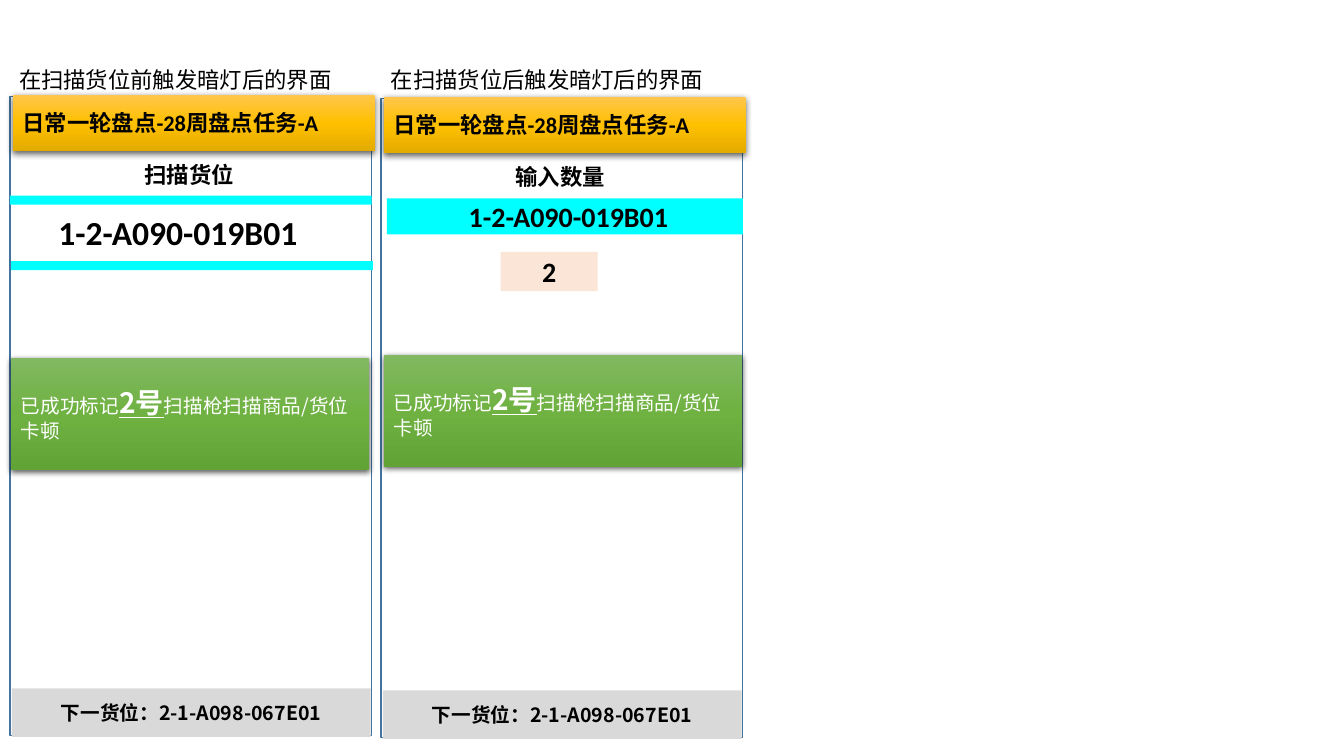
from dataclasses import dataclass
from typing import NamedTuple

from lxml import etree
from pptx import Presentation
from pptx import util as u
from pptx.dml.color import RGBColor
from pptx.enum import shapes, text
from pptx.oxml.ns import qn

COLORS = {
    "black": "000000", "white": "FFFFFF", "frame": "43739E", "grey": "D9D9D9",
    "cyan": "00FFFF", "peach": "FBE5D6",
}
GRADIENTS = {
    "gold": ("FFC64B", "FFC000", "E3AB00"),
    "green": ("81B861", "6FB242", "62A336"),
}
CJK, LATIN = "Noto Sans CJK SC", "Calibri"
LEFT, CENTER = text.PP_ALIGN.LEFT, text.PP_ALIGN.CENTER


class Box(NamedTuple):
    """Position and size in centimetres."""
    left: float
    top: float
    width: float
    height: float

    def shift(self, dx: float, dy: float) -> "Box":
        return Box(self.left + dx, self.top + dy, self.width, self.height)

    def lengths(self) -> list:
        return [u.Cm(value) for value in self]


class Run(NamedTuple):
    text: str
    size: int
    font: str = LATIN
    bold: bool = True
    underline: bool = False
    color: str = "black"


class Label(NamedTuple):
    box: Box
    run: Run
    align: text.PP_ALIGN = LEFT
    wrap: bool = False


class Block(NamedTuple):
    box: Box
    fill: str
    runs: tuple = ()
    align: text.PP_ALIGN = CENTER


@dataclass
class Screen:
    dx: float
    dy: float
    caption: Label
    step: str
    details: tuple
    message: Box


MESSAGE_RUNS = (
    Run("已成功标记", 14, CJK, False, color="white"),
    Run("2号", 20, CJK, True, True, "white"),
    Run("扫描枪扫描商品/货位卡顿", 14, CJK, False, color="white"),
)
LOCATION = "1-2-A090-019B01"
SCREENS = (
    Screen(
        0, 0,
        Label(Box(0.23, 1.55, 8.48, 0.94), Run("在扫描货位前触发暗灯后的界面", 16, bold=False)),
        "扫描货位",
        (
            Block(Box(0.25, 4.93, 9.12, 0.23), "cyan"),
            Label(Box(1.22, 5.21, 6.63, 1.27), Run(LOCATION, 24)),
            Block(Box(0.28, 6.58, 9.12, 0.23), "cyan"),
        ),
        Box(0.28, 9.02, 9.02, 2.82),
    ),
    Screen(
        9.35, 0.05,
        Label(Box(9.6, 1.55, 8.48, 0.94), Run("在扫描货位后触发暗灯后的界面", 16, bold=False)),
        "输入数量",
        (
            Block(Box(9.75, 5, 8.97, 0.91), "cyan"),
            Label(Box(11.56, 4.9, 5.61, 1.12), Run(LOCATION, 20)),
            Block(Box(12.62, 6.35, 2.44, 0.99), "peach", (Run("2", 20),)),
        ),
        Box(9.68, 8.94, 9.02, 2.82),
    ),
)


def rgb(name: str) -> RGBColor:
    return RGBColor.from_string(COLORS[name])


def write(tf, runs: tuple, align: text.PP_ALIGN) -> None:
    p = tf.paragraphs[0]
    p.alignment = align
    for run in runs:
        r = p.add_run()
        r.text = run.text
        r.font.size = u.Pt(run.size)
        r.font.name = run.font
        r.font.bold = run.bold
        r.font.underline = run.underline
        r.font.color.rgb = rgb(run.color)
        latin = r.font._element.find(qn("a:latin"))
        ea = etree.Element(qn("a:ea"), typeface=CJK)
        latin.addnext(ea)


def add_gradient(sp, stops: tuple) -> None:
    sp.fill.gradient()
    sp.fill.gradient_angle = 270
    stop_list = sp._element.spPr.find(qn("a:gradFill")).find(qn("a:gsLst"))
    for old in list(stop_list):
        stop_list.remove(old)
    for i, color in enumerate(stops):
        stop = etree.SubElement(stop_list, qn("a:gs"), pos=str(i * 50000))
        etree.SubElement(stop, qn("a:srgbClr"), val=color)


def add_shadow(sp) -> None:
    effects = sp._element.spPr.find(qn("a:effectLst"))
    shadow = etree.SubElement(
        effects, qn("a:outerShdw"), blurRad=str(u.Pt(4.5)), dist=str(u.Pt(1.5)),
        dir="5400000", algn="ctr", rotWithShape="0")
    color = etree.SubElement(shadow, qn("a:srgbClr"), val=COLORS["black"])
    etree.SubElement(color, qn("a:alpha"), val="63000")


def add_block(parent, block: Block):
    sp = parent.add_shape(shapes.MSO_SHAPE.RECTANGLE, *block.box.lengths())
    sp.shadow.inherit = False
    sp.line.fill.background()
    if block.fill in GRADIENTS:
        add_gradient(sp, GRADIENTS[block.fill])
        add_shadow(sp)
    else:
        sp.fill.solid()
        sp.fill.fore_color.rgb = rgb(block.fill)
    tf = sp.text_frame
    tf.word_wrap = True
    tf.vertical_anchor = text.MSO_ANCHOR.MIDDLE
    write(tf, block.runs, block.align)
    return sp


def add_label(parent, label: Label) -> None:
    tf = parent.add_textbox(*label.box.lengths()).text_frame
    tf.word_wrap = label.wrap
    tf.auto_size = text.MSO_AUTO_SIZE.SHAPE_TO_FIT_TEXT
    write(tf, (label.run,), label.align)


def add_screen(parent, screen: Screen) -> None:
    def place(*box: float) -> Box:
        return Box(*box).shift(screen.dx, screen.dy)

    frame = add_block(parent, Block(place(0.25, 2.44, 9.12, 16.1), "white"))
    frame.line.color.rgb = rgb("frame")
    frame.line.width = u.Pt(1)
    add_label(parent, Label(place(0.25, 3.94, 9.04, 0.94), Run(screen.step, 16, CJK), CENTER, True))
    add_block(parent, Block(place(0.3, 17.35, 9.04, 1.22), "grey",
                            (Run("下一货位：2-1-A098-067E01", 14, CJK),)))
    for detail in screen.details:
        if isinstance(detail, Block):
            add_block(parent, detail)
        else:
            add_label(parent, detail)
    add_label(parent, screen.caption)
    add_block(parent, Block(place(0.32, 2.4, 9.12, 1.4), "gold",
                            (Run("日常一轮盘点-28周盘点任务-A", 16),), LEFT))


def main() -> None:
    prs = Presentation()
    prs.slide_width, prs.slide_height = u.Cm(33.87), u.Cm(19.05)
    s = prs.slides.add_slide(prs.slide_layouts[6])
    for screen in SCREENS:
        add_screen(s.shapes.add_group_shape().shapes, screen)
    for screen in SCREENS:
        add_block(s.shapes, Block(screen.message, "green", MESSAGE_RUNS, LEFT))
    prs.save("out.pptx")


if __name__ == "__main__":
    main()
